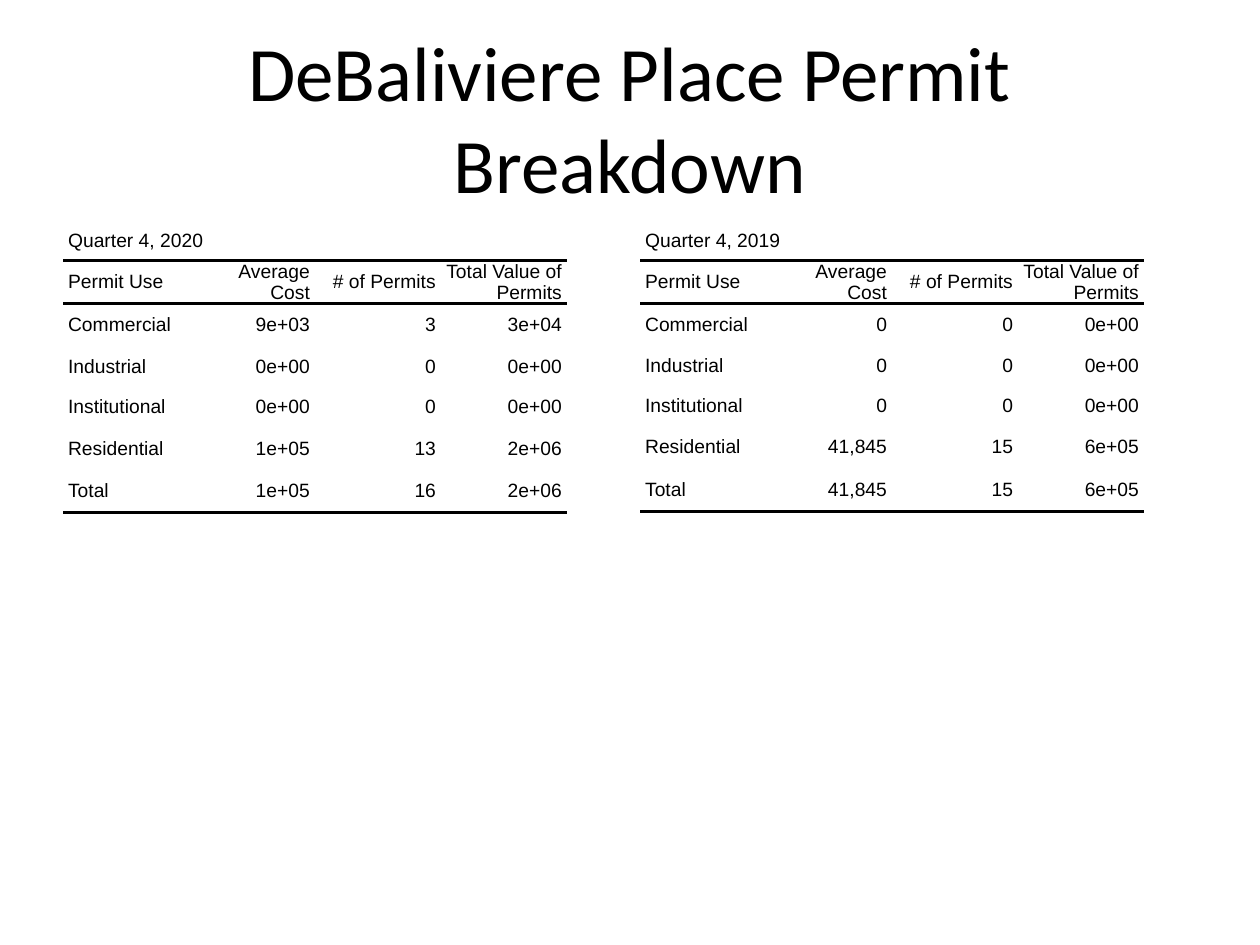
"""Build the DeBaliviere Place permit breakdown slide with two quarterly tables."""
from lxml.etree import SubElement
from pptx import Presentation
from pptx.dml.color import RGBColor
from pptx.enum.text import MSO_ANCHOR as Anchor, PP_ALIGN as Align
from pptx.oxml.ns import qn
from pptx.util import Inches, Pt

THEME = {
    "ink": "000000",
    "title": {"name": "Calibri", "size": Pt(44)},
    "table": {"name": "Arial", "size": Pt(11)},
    "rule": Pt(2),
    "indent": Inches(0.04),
    "plain_style": "{2D5ABB26-0587-4C30-8999-92F81FD0307C}",
}
CELL_FORMAT = {"margin_left": 0, "margin_right": 0, "margin_top": 0,
               "margin_bottom": 0, "vertical_anchor": Anchor.MIDDLE}
HEADINGS = ["Permit Use", "Average Cost", "# of Permits", "Total Value of Permits"]
RULED_EDGES = {1: ["lnT", "lnB"], 6: ["lnB"]}
QUARTERS = [
    {"caption": "Quarter 4, 2020", "left": 0.05,
     "heights": [0.32, 0.32, 0.34, 0.32, 0.32, 0.34, 0.34],
     "permits": [["Commercial", "9e+03", "3", "3e+04"],
                 ["Industrial", "0e+00", "0", "0e+00"],
                 ["Institutional", "0e+00", "0", "0e+00"],
                 ["Residential", "1e+05", "13", "2e+06"],
                 ["Total", "1e+05", "16", "2e+06"]]},
    {"caption": "Quarter 4, 2019", "left": 0.508,
     "heights": [0.32, 0.32, 0.33, 0.32, 0.32, 0.34, 0.34],
     "permits": [["Commercial", "0", "0", "0e+00"],
                 ["Industrial", "0", "0", "0e+00"],
                 ["Institutional", "0", "0", "0e+00"],
                 ["Residential", "41,845", "15", "6e+05"],
                 ["Total", "41,845", "15", "6e+05"]]},
]


def write(paragraph, words, align, role):
    run = paragraph.add_run()
    run.text = words
    paragraph.alignment = align
    for attribute, value in THEME[role].items():
        setattr(run.font, attribute, value)
    run.font.color.rgb = RGBColor.from_string(THEME["ink"])


def rule(cell, edge):
    line = SubElement(cell._tc.get_or_add_tcPr(), qn(f"a:{edge}"), w=str(THEME["rule"]))
    fill = SubElement(line, qn("a:solidFill"))
    SubElement(fill, qn("a:srgbClr"), val=THEME["ink"])


deck = Presentation()
deck.slide_width, deck.slide_height = Inches(10), Inches(7.5)
width, height = deck.slide_width, deck.slide_height
slide = deck.slides.add_slide(deck.slide_layouts[6])

for quarter in QUARTERS:
    rows = [[quarter["caption"]], HEADINGS, *quarter["permits"]]
    frame = slide.shapes.add_table(
        len(rows), len(HEADINGS), int(width * quarter["left"]), Inches(1.75),
        int(width * 0.442), int(height * 0.66))
    permits = frame.table
    permits.first_row = permits.horz_banding = False
    permits._tbl.tblPr.find(qn("a:tableStyleId")).text = THEME["plain_style"]
    for column in permits.columns:
        column.width = int(width * 0.1)
    for row, row_height in zip(permits.rows, quarter["heights"]):
        row.height = Inches(row_height)
    frame.width, frame.height = int(width * 0.442), int(height * 0.66)
    permits.cell(0, 0).merge(permits.cell(0, len(HEADINGS) - 1))

    for r, entries in enumerate(rows):
        for c, entry in enumerate(entries):
            cell = permits.cell(r, c)
            for attribute, value in CELL_FORMAT.items():
                setattr(cell, attribute, value)
            for edge in RULED_EDGES.get(r, []):
                rule(cell, edge)
            cell.fill.background()
            paragraph = cell.text_frame.paragraphs[0]
            for side in ("marL", "marR"):
                paragraph._p.get_or_add_pPr().set(side, str(THEME["indent"]))
            paragraph.space_after = Pt(3)
            write(paragraph, entry, Align.RIGHT if c else Align.LEFT, "table")

title = slide.shapes.add_textbox(
    int(width * 0.05), int(height * 0.04), int(width * 0.9), Inches(1.25)).text_frame
title.word_wrap = True
title.vertical_anchor = Anchor.MIDDLE
write(title.paragraphs[0], "DeBaliviere Place Permit Breakdown", Align.CENTER, "title")

deck.save("out.pptx")
